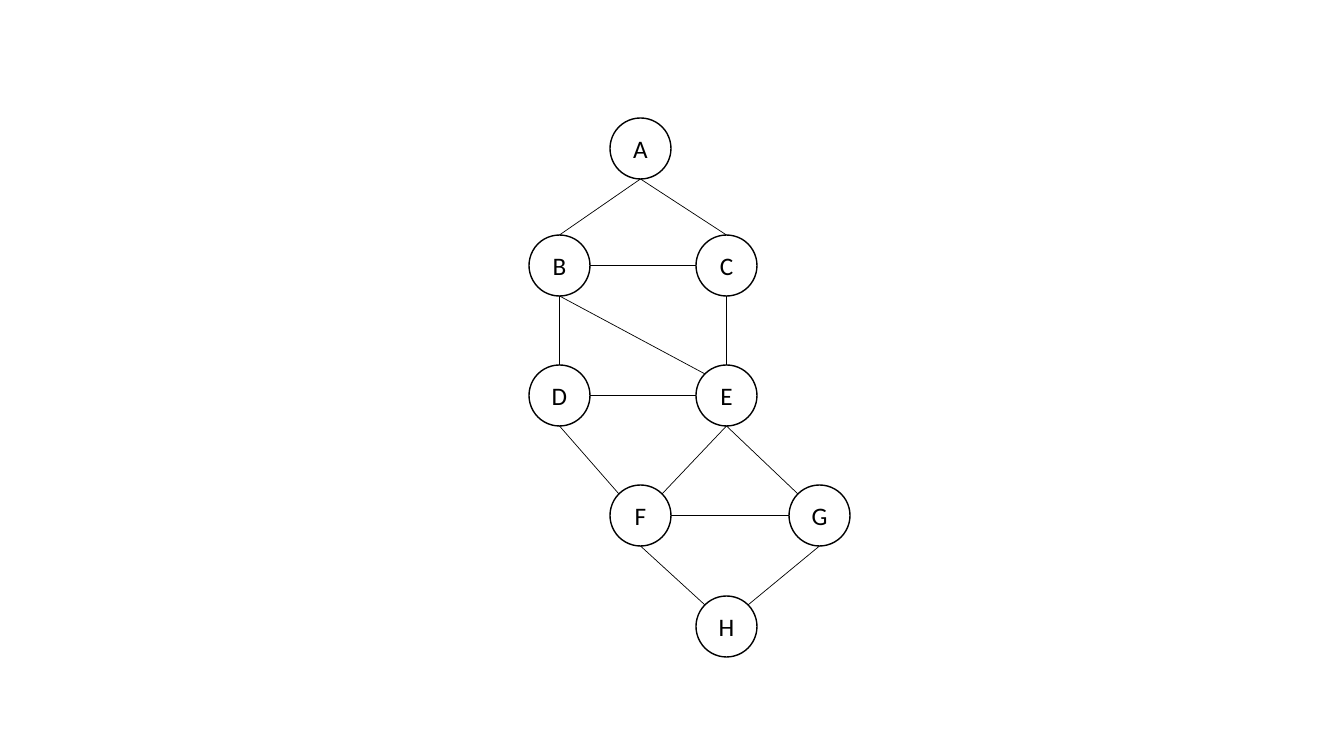
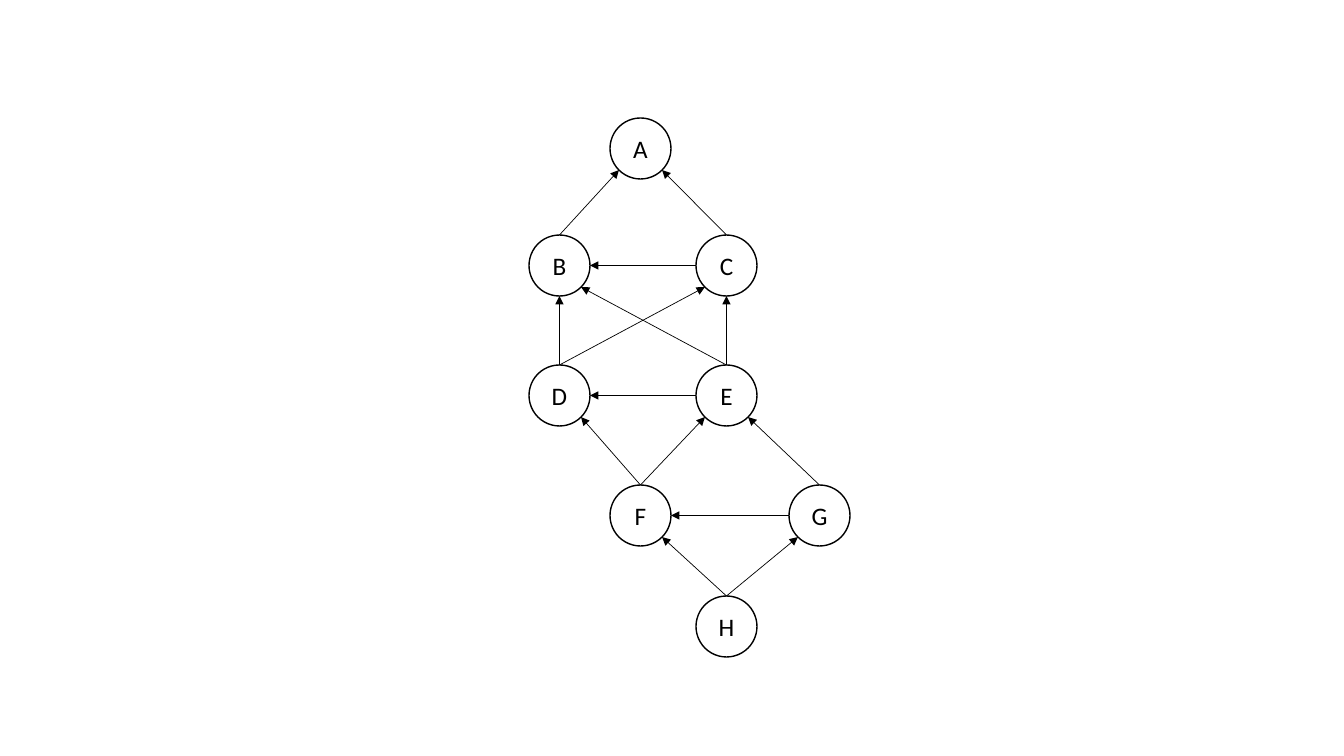
from math import cos, radians, sin

from lxml.etree import SubElement
from pptx import Presentation
from pptx.dml.color import RGBColor
from pptx.enum.shapes import MSO_CONNECTOR as Connector, MSO_SHAPE as Shape
from pptx.enum.text import MSO_ANCHOR as Anchor, PP_ALIGN as Align
from pptx.oxml.ns import qn
from pptx.util import Pt

WHITE = RGBColor(255, 255, 255)
BLACK = RGBColor(0, 0, 0)
FONT = "Calibri"
BLANK_LAYOUT = 6
EMU_PER_PIXEL = 914400 / 100.8
PAGE_SIZE = (1344, 756)
GRAPH_BOX = (529, 118)  # left, top
DIAMETER = 61

# Node offsets inside the graph box
COLUMNS = (0, 81, 167, 260)
ROWS = (0, 117, 247, 367, 478)
NODES = {  # name: (column, row)
    "A": (1, 0), "B": (0, 1), "C": (2, 1), "D": (0, 2),
    "E": (2, 2), "F": (1, 3), "G": (3, 3), "H": (2, 4),
}

# Connection sites of an ellipse, in index order, 45 degrees apart
SITES = ("N", "NW", "W", "SW", "S", "SE", "E", "NE")

# Edges: start node, its site, end node, its site
UNDIRECTED = (
    "A S B N", "A S C N", "B S D N", "B S E NW", "C S E N", "B E C W",
    "D S F NW", "E S F NE", "D E E W", "E S G NW", "F S H NW", "G S H NE",
    "F E G W",
)
DIRECTED = (
    "B N A SW", "C N A SE", "C W B E", "D N B S", "E N B SE", "D N C SW",
    "E N C S", "E W D E", "F N E SW", "F N D SE", "G W F E", "G N E SE",
    "H N G SW", "H N F SE",
)


def emu(pixels):
    return round(pixels * EMU_PER_PIXEL)


def write_text(frame, text, size=18, color=BLACK, align=Align.CENTER,
               anchor=Anchor.MIDDLE, margin=0):
    frame.margin_left = frame.margin_right = emu(margin)
    frame.margin_top = frame.margin_bottom = emu(margin)
    frame.vertical_anchor = anchor
    para = frame.paragraphs[0]
    para.alignment = align
    span = para.add_run()
    span.text = text
    span.font.name = FONT
    span.font.size = Pt(size)
    span.font.color.rgb = color


def add_node(page, name, left, top):
    node = page.shapes.add_shape(
        Shape.OVAL, emu(left), emu(top), emu(DIAMETER), emu(DIAMETER))
    node.shadow.inherit = False
    node.fill.solid()
    node.fill.fore_color.rgb = WHITE
    node.line.color.rgb = BLACK
    node.line.width = Pt(1)
    write_text(node.text_frame, name)
    return node


def site_point(node, site):
    """Return the point on the node's rim at a compass site."""
    angle = radians(90 + 45 * SITES.index(site))
    radius = node.width / 2
    return (round(node.left + radius * (1 + cos(angle))),
            round(node.top + radius * (1 - sin(angle))))


def add_edge(page, start, start_site, end, end_site, arrow=False):
    edge = page.shapes.add_connector(
        Connector.STRAIGHT,
        *site_point(start, start_site), *site_point(end, end_site))
    edge.line.color.rgb = BLACK
    edge.line.width = Pt(0.5)
    if arrow:
        SubElement(edge.line._get_or_add_ln(), qn("a:tailEnd"), type="triangle")
    SubElement(edge._element.spPr, qn("a:effectLst"))
    # Glue both ends, including the diagonal sites
    links = edge._element.find(qn("p:nvCxnSpPr")).find(qn("p:cNvCxnSpPr"))
    for tag, node, site in (("a:stCxn", start, start_site),
                            ("a:endCxn", end, end_site)):
        SubElement(links, qn(tag), id=str(node.shape_id),
                   idx=str(SITES.index(site)))


def add_graph(page, box, edges, arrow=False):
    left, top = box
    nodes = {name: add_node(page, name, left + COLUMNS[column], top + ROWS[row])
             for name, (column, row) in NODES.items()}
    for edge in edges:
        start, start_site, end, end_site = edge.split()
        add_edge(page, nodes[start], start_site, nodes[end], end_site, arrow)


deck = Presentation()
deck.slide_width, deck.slide_height = map(emu, PAGE_SIZE)
for edges, arrow in ((UNDIRECTED, False), (DIRECTED, True)):
    page = deck.slides.add_slide(deck.slide_layouts[BLANK_LAYOUT])
    add_graph(page, GRAPH_BOX, edges, arrow)
deck.save("out.pptx")
